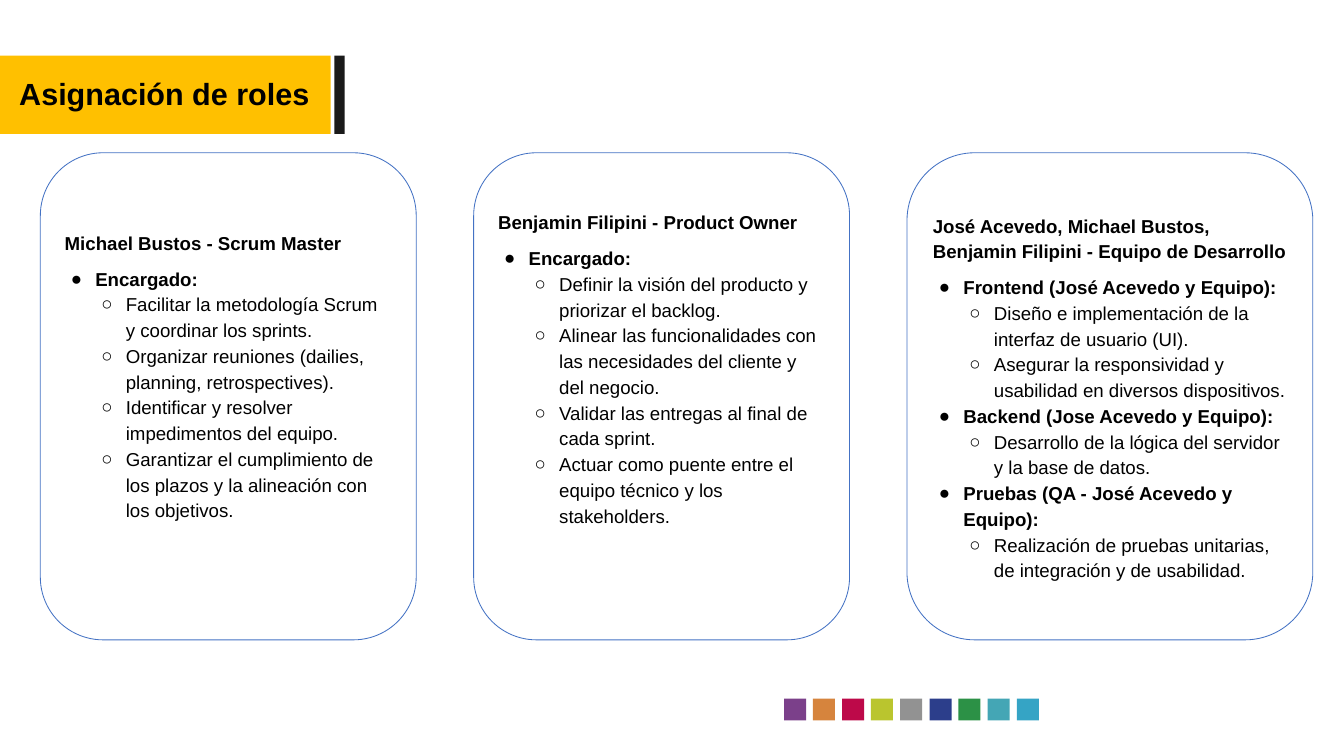
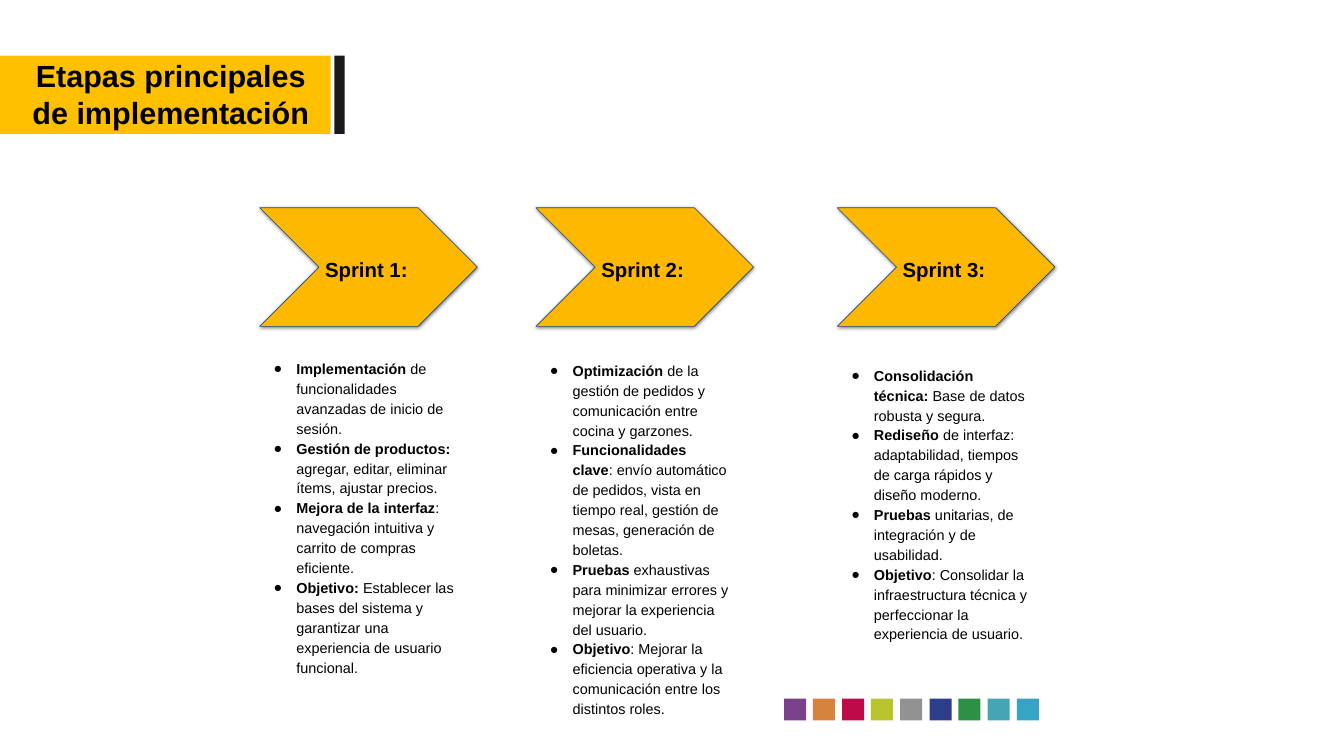
import pptx
import pptx.dml.color
import pptx.enum.shapes
import pptx.enum.text
import pptx.oxml
import pptx.oxml.ns
import pptx.util

PX = 9144  # EMU per px, 100 px to the inch
FONT = "Arial"
COLORS = {
    "black": "000000", "white": "FFFFFF", "band": "FFC000", "bar": "1A1A1A",
    "card_line": "4472C4", "chevron": "FFB800", "chevron_line": "1F497D",
}
SWATCHES = ["7B408A", "D6843D", "BD0949", "BAC52E", "929292",
            "2C3E8B", "2C9146", "44A6B5", "35A4C5"]
BULLETS = "●○"
LINE_SPACING = 1.15
SHAPES = pptx.enum.shapes.MSO_SHAPE
ANCHOR = pptx.enum.text.MSO_ANCHOR
ALIGN = pptx.enum.text.PP_ALIGN


def rgb(value):
    return pptx.dml.color.RGBColor.from_string(value)


def xml(source):
    namespace = pptx.oxml.ns.nsdecls("a")
    return pptx.oxml.parse_xml(source.replace("@", namespace, 1))


class Deck:
    def __init__(self, width, height):
        self.presentation = pptx.Presentation()
        self.presentation.slide_width = width * PX
        self.presentation.slide_height = height * PX
        self.slide = None

    def new_slide(self, title, title_box):
        """Start a slide with the title band and the colour footer."""
        layout = self.presentation.slide_layouts[6]
        self.slide = self.presentation.slides.add_slide(layout)
        self.shape(SHAPES.RECTANGLE, (0, 91, 541, 128), COLORS["band"])
        self.shape(SHAPES.RECTANGLE, (547, 91, 17, 128), COLORS["bar"])
        for index, color in enumerate(SWATCHES):
            left = 1283 + index * 381 // 8
            self.shape(SHAPES.RECTANGLE, (left, 1143, 36, 36), color)
        frame = self.text_box(title_box, (0, 0, 0, 0), ANCHOR.MIDDLE)
        paragraph = self.paragraph(frame, [(title, True)], 36, spacing=1.0)
        paragraph.alignment = ALIGN.CENTER

    def shape(self, kind, box, fill, line=None, line_width=1):
        shape = self.slide.shapes.add_shape(kind, *(n * PX for n in box))
        shape.fill.solid()
        shape.fill.fore_color.rgb = rgb(fill)
        if line:
            shape.line.color.rgb = rgb(line)
            shape.line.width = pptx.util.Pt(line_width)
        else:
            shape.line.fill.background()
        shape.shadow.inherit = False
        return shape

    def frame(self, shape, insets, anchor):
        frame = shape.text_frame
        frame.word_wrap = True
        frame.vertical_anchor = anchor
        (frame.margin_left, frame.margin_top,
         frame.margin_right, frame.margin_bottom) = (n * PX for n in insets)
        return frame

    def text_box(self, box, insets, anchor):
        shape = self.slide.shapes.add_textbox(*(n * PX for n in box))
        return self.frame(shape, insets, anchor)

    def paragraph(self, frame, runs, size, level=None, hanging=40,
                  before=0, spacing=LINE_SPACING):
        """Add (text, bold) runs; a level makes the paragraph a bullet."""
        paragraph = frame.paragraphs[0]
        if paragraph.runs:
            paragraph = frame.add_paragraph()
        paragraph.alignment = ALIGN.LEFT
        paragraph.line_spacing = spacing
        paragraph.space_before = pptx.util.Pt(before)
        if level is not None:
            paragraph.level = level
            properties = paragraph._p.get_or_add_pPr()
            properties.set("marL", str(50 * (level + 1) * PX))
            properties.set("indent", str(-hanging * PX))
            for source in (
                f'<a:buClr @><a:srgbClr val="{COLORS["black"]}"/></a:buClr>',
                f'<a:buFont @ typeface="{FONT}"/>',
                f'<a:buChar @ char="{BULLETS[level]}"/>',
            ):
                properties.append(xml(source))
        font = paragraph.font
        font.name = FONT
        font.size = pptx.util.Pt(size)
        font.color.rgb = rgb(COLORS["black"])
        same_weight = len({bold for _, bold in runs}) == 1
        if same_weight:
            font.bold = runs[0][1]
        for text, bold in runs:
            run = paragraph.add_run()
            run.text = text
            if not same_weight:
                run.font.bold = bold
        return paragraph

    def role_card(self, box, insets, heading, groups):
        card = self.shape(SHAPES.ROUNDED_RECTANGLE, box,
                          COLORS["white"], COLORS["card_line"])
        card.adjustments[0] = 0.167
        frame = self.frame(card, insets, ANCHOR.MIDDLE)
        self.paragraph(frame, [(heading, True)], 22)
        for index, (name, tasks) in enumerate(groups):
            self.paragraph(frame, [(name, True)], 22, level=0,
                           before=0 if index else 12)
            for task in tasks:
                self.paragraph(frame, [(task, False)], 22, level=1)

    def sprint(self, left, top, height, name, items):
        frame = self.text_box((left, top, 328, height), (10, 10, 10, 10),
                              ANCHOR.TOP)
        for lead, rest in items:
            self.paragraph(frame, [(lead, True), (rest, False)], 17,
                           level=0, hanging=37)
        chevron = self.shape(SHAPES.CHEVRON, (left, 340, 356, 194),
                             COLORS["chevron"], COLORS["chevron_line"], 0.75)
        effects = chevron._element.spPr.find(pptx.oxml.ns.qn("a:effectLst"))
        effects.append(xml(
            '<a:outerShdw @ blurRad="57150" dist="19050" dir="5400000" '
            f'rotWithShape="0"><a:srgbClr val="{COLORS["black"]}">'
            '<a:alpha val="50000"/></a:srgbClr></a:outerShdw>'))
        frame = self.frame(chevron, (10, 10, 10, 10), ANCHOR.MIDDLE)
        self.paragraph(frame, [(name, True)], 24)


# Card width, top inset, bottom inset, heading, groups of tasks
ROLES = [
    (615, 30, 100, "Michael Bustos - Scrum Master", [
        ("Encargado:", [
            "Facilitar la metodología Scrum y coordinar los sprints.",
            "Organizar reuniones (dailies, planning, retrospectives).",
            "Identificar y resolver impedimentos del equipo.",
            "Garantizar el cumplimiento de los plazos y la alineación con "
            "los objetivos.",
        ]),
    ]),
    (615, 5, 100, "Benjamin Filipini - Product Owner", [
        ("Encargado:", [
            "Definir la visión del producto y priorizar el backlog.",
            "Alinear las funcionalidades con las necesidades del cliente y "
            "del negocio.",
            "Validar las entregas al final de cada sprint.",
            "Actuar como puente entre el equipo técnico y los stakeholders.",
        ]),
    ]),
    (664, 5, 5, "José Acevedo, Michael Bustos, Benjamin Filipini - "
     "Equipo de Desarrollo", [
        ("Frontend (José Acevedo y Equipo):", [
            "Diseño e implementación de la interfaz de usuario (UI).",
            "Asegurar la responsividad y usabilidad en diversos "
            "dispositivos.",
        ]),
        ("Backend (Jose Acevedo y Equipo):", [
            "Desarrollo de la lógica del servidor y la base de datos.",
        ]),
        ("Pruebas (QA - José Acevedo y Equipo):", [
            "Realización de pruebas unitarias, de integración y de "
            "usabilidad.",
        ]),
    ]),
]

# Left, top and height of the list, then its bold leads and plain text
SPRINTS = [
    (425, 575, 545, [
        ("Implementación ",
         "de funcionalidades avanzadas de inicio de sesión."),
        ("Gestión de productos:",
         " agregar, editar, eliminar ítems, ajustar precios."),
        ("Mejora de la interfaz",
         ": navegación intuitiva y carrito de compras eficiente."),
        ("Objetivo: ", "Establecer las bases del sistema y garantizar una "
         "experiencia de usuario funcional."),
    ]),
    (877, 578, 614, [
        ("Optimización ", "de la gestión de pedidos y comunicación entre "
         "cocina y garzones."),
        ("Funcionalidades clave", ": envío automático de pedidos, vista en "
         "tiempo real, gestión de mesas, generación de boletas."),
        ("Pruebas ", "exhaustivas para minimizar errores y mejorar la "
         "experiencia del usuario."),
        ("Objetivo", ": Mejorar la eficiencia operativa y la comunicación "
         "entre los distintos roles."),
    ]),
    (1370, 586, 481, [
        ("Consolidación técnica:", " Base de datos robusta y segura."),
        ("Rediseño ", "de interfaz: adaptabilidad, tiempos de carga rápidos "
         "y diseño moderno."),
        ("Pruebas ", "unitarias, de integración y de usabilidad."),
        ("Objetivo", ": Consolidar la infraestructura técnica y "
         "perfeccionar la experiencia de usuario."),
    ]),
]


def main():
    deck = Deck(2199, 1237)

    # Roles
    deck.new_slide("Asignación de roles", (0, 122, 538, 61))
    for index, (width, top, bottom, heading, groups) in enumerate(ROLES):
        deck.role_card((66 + 709 * index, 250, width, 797),
                       (10, top, 10, bottom), heading, groups)

    # Sprints
    deck.new_slide("Etapas principales de implementación",
                   (42, 93, 475, 121))
    for number, (left, top, height, items) in enumerate(SPRINTS, 1):
        deck.sprint(left, top, height, f"Sprint {number}:", items)

    deck.presentation.save("out.pptx")


if __name__ == "__main__":
    main()
